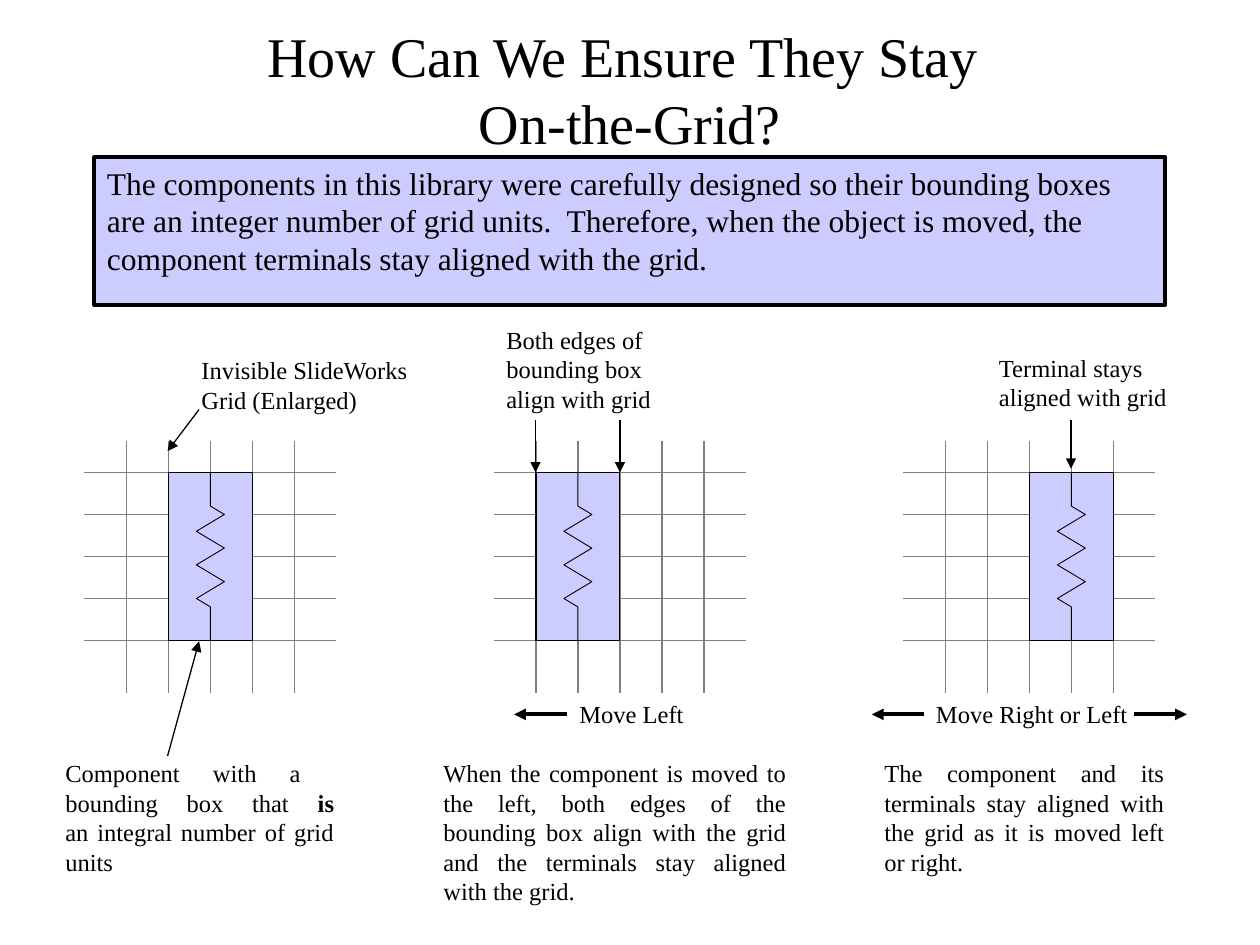
from dataclasses import dataclass

import pptx
import pptx.dml.color
import pptx.enum.shapes
import pptx.enum.text
import pptx.oxml
import pptx.oxml.ns
import pptx.util
from pptx.util import Inches

RGB = pptx.dml.color.RGBColor
ALIGN = pptx.enum.text.PP_ALIGN
ANCHOR = pptx.enum.text.MSO_ANCHOR
SHAPE = pptx.enum.shapes.MSO_SHAPE


@dataclass(frozen=True)
class Theme:
    font: str = "Times New Roman"
    ink: RGB = RGB(0x00, 0x00, 0x00)
    grid: RGB = RGB(0x80, 0x80, 0x80)
    panel: RGB = RGB(0xCC, 0xCC, 0xFF)
    title: float = 32
    body: float = 18
    label: float = 14
    hairline: float = 0.5
    thin: float = 0.75
    thick: float = 2.25


@dataclass(frozen=True)
class Panel:
    """One enlarged grid, with the component placed some columns in."""
    left: float
    column: int


@dataclass(frozen=True)
class Label:
    left: float
    top: float
    width: float
    height: float
    text: str
    align: ALIGN = ALIGN.LEFT


@dataclass(frozen=True)
class Arrow:
    x1: float
    y1: float
    x2: float
    y2: float
    weight: float


THEME = Theme()
CELL = 1 / 3
GRID_TOP, GRID_SIZE, GRID_LINES = 3.5, 2, 5
FIRST_ROW = 3.75
BOX_WIDTH, BOX_HEIGHT = 2 * CELL, 4 * CELL
# Resistor outline: sideways swing and depth, as shares of the bounding box
ZIGZAG = ((0, 0.2), (1, 0.25), (-1, 0.35), (1, 0.45), (-1, 0.55),
          (1, 0.65), (-1, 0.75), (0, 0.8), (0, 1))
SWING = BOX_WIDTH / 6

PANELS = (Panel(0.67, 2), Panel(3.92, 1), Panel(7.17, 3))

LABELS = (
    Label(1.5, 2.77, 1.92, 0.57, "Invisible SlideWorks Grid (Enlarged)"),
    Label(3.92, 2.53, 1.5, 0.8, "Both edges of bounding box \nalign with grid"),
    Label(7.83, 2.75, 1.58, 0.57, "Terminal stays aligned with grid"),
    Label(4.5, 5.5, 1.08, 0.34, "Move Left"),
    Label(7.33, 5.5, 1.75, 0.34, "Move Right or Left"),
    Label(0.42, 5.97, 2.33, 1.04,
          "Component with a  bounding box that **is**\n"
          "an integral number of grid units ", ALIGN.JUSTIFY),
    Label(3.42, 5.97, 2.92, 1.27,
          "When the component is moved to the left, both edges of the bounding "
          "box align with the grid and the terminals stay aligned with the grid.",
          ALIGN.JUSTIFY),
    Label(6.92, 5.97, 2.42, 1.04,
          "The component and its terminals stay aligned with the grid as it is "
          "moved left or right.", ALIGN.JUSTIFY),
)

ARROWS = (
    Arrow(1.58, 3.25, 1.33, 3.58, THEME.thin),
    Arrow(1.33, 6, 1.58, 5.09, THEME.thin),
    Arrow(4.25, 3.33, 4.25, 3.75, THEME.thin),
    Arrow(4.92, 3.33, 4.92, 3.75, THEME.thin),
    Arrow(8.5, 3.33, 8.5, 3.72, THEME.thin),
    Arrow(4.5, 5.67, 4.08, 5.67, THEME.thick),
    Arrow(7.33, 5.67, 6.92, 5.67, THEME.thick),
    Arrow(9, 5.67, 9.42, 5.67, THEME.thick),
)


def set_line(s, color: RGB, weight: float) -> None:
    s.line.color.rgb = color
    s.line.width = pptx.util.Pt(weight)


def add_line(shapes, x1: float, y1: float, x2: float, y2: float,
             color: RGB, weight: float):
    s = shapes.add_connector(pptx.enum.shapes.MSO_CONNECTOR.STRAIGHT,
                             Inches(x1), Inches(y1), Inches(x2), Inches(y2))
    set_line(s, color, weight)
    s._element.spPr.append(pptx.oxml.parse_xml(
        f'<a:effectLst {pptx.oxml.ns.nsdecls("a")}/>'))
    return s


def add_arrow(shapes, arrow: Arrow) -> None:
    s = add_line(shapes, arrow.x1, arrow.y1, arrow.x2, arrow.y2,
                 THEME.ink, arrow.weight)
    s.line._get_or_add_ln().append(pptx.oxml.parse_xml(
        f'<a:tailEnd {pptx.oxml.ns.nsdecls("a")} type="triangle"/>'))


def add_panel_box(shapes, left: float, top: float, width: float,
                  height: float, weight: float):
    s = shapes.add_shape(SHAPE.RECTANGLE, Inches(left), Inches(top),
                         Inches(width), Inches(height))
    s.shadow.inherit = False
    s.fill.solid()
    s.fill.fore_color.rgb = THEME.panel
    set_line(s, THEME.ink, weight)
    return s


def write(tf, text: str, size: float, align: ALIGN, anchor: ANCHOR) -> None:
    """Fill a frame with one paragraph; **marks** make a stretch bold."""
    tf.word_wrap = True
    tf.vertical_anchor = anchor
    p = tf.paragraphs[0]
    p.alignment = align
    for i, line in enumerate(text.split("\n")):
        if i:
            p.add_line_break()
        for j, part in enumerate(line.split("**")):
            if part:
                r = p.add_run()
                r.text = part
                r.font.name = THEME.font
                r.font.size = pptx.util.Pt(size)
                r.font.color.rgb = THEME.ink
                r.font.bold = j % 2 == 1


def add_text(shapes, label: Label, size: float,
             anchor: ANCHOR = ANCHOR.TOP):
    s = shapes.add_textbox(Inches(label.left), Inches(label.top),
                           Inches(label.width), Inches(label.height))
    write(s.text_frame, label.text, size, label.align, anchor)
    return s


def add_grid(shapes, panel: Panel) -> None:
    group = shapes.add_group_shape().shapes
    for i in range(GRID_LINES):
        x = panel.left + (i + 1) * CELL
        y = FIRST_ROW + i * CELL
        add_line(group, x, GRID_TOP, x, GRID_TOP + GRID_SIZE,
                 THEME.grid, THEME.thin)
        add_line(group, panel.left, y, panel.left + GRID_SIZE, y,
                 THEME.grid, THEME.thin)


def add_resistor(shapes, panel: Panel) -> None:
    group = shapes.add_group_shape().shapes
    left = panel.left + panel.column * CELL
    center = left + BOX_WIDTH / 2
    add_panel_box(group, left, FIRST_ROW, BOX_WIDTH, BOX_HEIGHT, THEME.thin)
    builder = group.build_freeform(Inches(center), Inches(FIRST_ROW))
    builder.add_line_segments(
        [(Inches(center + side * SWING), Inches(FIRST_ROW + depth * BOX_HEIGHT))
         for side, depth in ZIGZAG], close=False)
    s = builder.convert_to_shape()
    s.shadow.inherit = False
    s.fill.background()
    set_line(s, THEME.ink, THEME.hairline)


def main() -> None:
    prs = pptx.Presentation()
    prs.slide_width, prs.slide_height = Inches(10), Inches(7.5)
    shapes = prs.slides.add_slide(prs.slide_layouts[6]).shapes

    for panel in PANELS:
        add_grid(shapes, panel)
        add_resistor(shapes, panel)
    for label in LABELS:
        s = add_text(shapes, label, THEME.label)
        s.text_frame.auto_size = pptx.enum.text.MSO_AUTO_SIZE.SHAPE_TO_FIT_TEXT
    for arrow in ARROWS:
        add_arrow(shapes, arrow)

    title = Label(0.75, 0.08, 8.5, 1.25,
                  "How Can We Ensure They Stay \nOn-the-Grid?", ALIGN.CENTER)
    add_text(shapes, title, THEME.title, ANCHOR.MIDDLE)
    s = add_panel_box(shapes, 0.75, 1.25, 8.5, 1.17, THEME.thick)
    write(s.text_frame,
          "The components in this library were carefully designed so their "
          "bounding boxes are an integer number of grid units.  Therefore, when "
          "the object is moved, the component terminals stay aligned with the "
          "grid.", THEME.body, ALIGN.LEFT, ANCHOR.TOP)
    prs.save("out.pptx")


if __name__ == "__main__":
    main()
